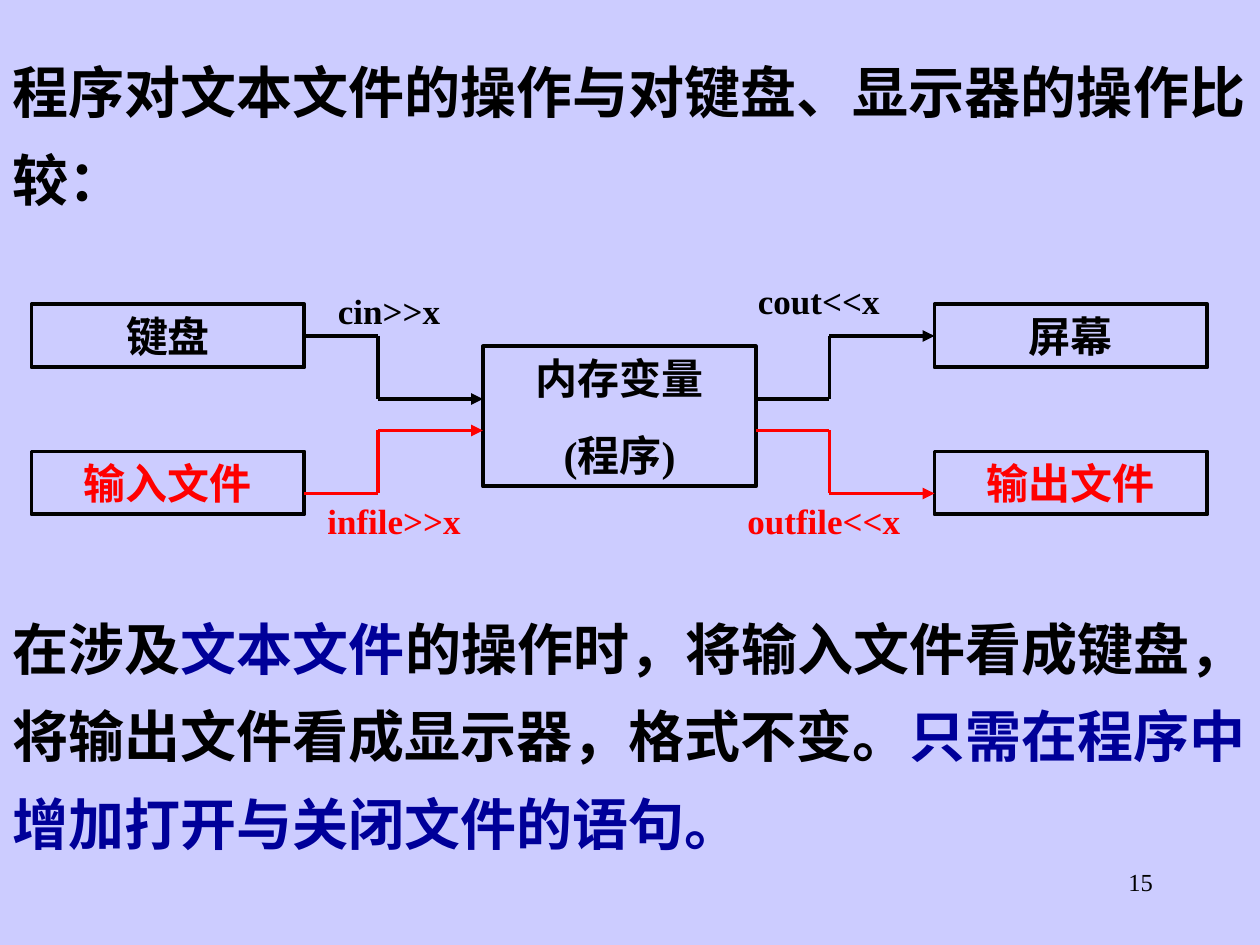
import pptx
import pptx.dml.color
import pptx.enum.shapes
import pptx.enum.text
import pptx.oxml.ns
import pptx.util
from lxml import etree

Pt = pptx.util.Pt
ALIGN = pptx.enum.text.PP_ALIGN
FONT = "Times New Roman"
COLORS = {"page": "CCCCFF", "black": "000000", "red": "FF0000", "blue": "000099"}


def rgb(name):
    return pptx.dml.color.RGBColor.from_string(COLORS[name])


def write(box, lines, size, color="black", bold=True, align=ALIGN.LEFT, gap=0, spacing=1.0):
    """Fill a box with lines, each a list of (text, color) spans or a plain string."""
    frame = box.text_frame
    frame.word_wrap = True
    frame.auto_size = pptx.enum.text.MSO_AUTO_SIZE.NONE
    frame.vertical_anchor = pptx.enum.text.MSO_ANCHOR.TOP
    for index, line in enumerate(lines):
        para = frame.add_paragraph() if index else frame.paragraphs[0]
        para.alignment = align
        para.line_spacing = spacing
        para.space_before = Pt(gap if index else 0)
        para.font.name = FONT
        para.font.size = Pt(size)
        para.font.bold = bold
        para.font.color.rgb = rgb(color)
        for text, span_color in [(line, color)] if isinstance(line, str) else line:
            span = para.add_run()
            span.text = text
            if span_color != color:
                span.font.color.rgb = rgb(span_color)


deck = pptx.Presentation()
deck.slide_width, deck.slide_height = Pt(720), Pt(540)
page = deck.slides.add_slide(deck.slide_layouts[1])
page.background.fill.solid()
page.background.fill.fore_color.rgb = rgb("page")

# Heading and conclusion
heading = page.shapes.title
heading.left, heading.top, heading.width, heading.height = Pt(0), Pt(18), Pt(720), Pt(107)
write(heading, ["程序对文本文件的操作与对键盘、显示器的操作比较："], 32, spacing=1.3)

conclusion = page.placeholders[1]
conclusion.left, conclusion.top, conclusion.width, conclusion.height = Pt(0), Pt(336), Pt(720), Pt(157)
properties = conclusion.text_frame.paragraphs[0]._p.get_or_add_pPr()
properties.set("marL", "0")
properties.set("indent", "0")
etree.SubElement(properties, pptx.oxml.ns.qn("a:buNone"))
write(conclusion, [[
    ("在涉及", "black"),
    ("文本文件", "blue"),
    ("的操作时，将输入文件看成键盘，将输出文件看成显示器，格式不变。", "black"),
    ("只需在程序中增加打开与关闭文件的语句。", "blue"),
]], 32, spacing=1.3)

# Boxes: devices above, files below, memory in the middle
BOX_WIDTH, BOX_HEIGHT = 156, 36
LEFT, MIDDLE, RIGHT = 18, 276, 534
for lines, left, top, height, color in [
    (["内存变量", "(程序)"], MIDDLE, 198, 80, "black"),
    (["键盘"], LEFT, 174, BOX_HEIGHT, "black"),
    (["输入文件"], LEFT, 258, BOX_HEIGHT, "red"),
    (["屏幕"], RIGHT, 174, BOX_HEIGHT, "black"),
    (["输出文件"], RIGHT, 258, BOX_HEIGHT, "red"),
]:
    box = page.shapes.add_shape(pptx.enum.shapes.MSO_SHAPE.RECTANGLE,
                                Pt(left), Pt(top), Pt(BOX_WIDTH), Pt(height))
    box.shadow.inherit = False
    box.fill.background()
    box.line.color.rgb = rgb("black")
    box.line.width = Pt(2.25)
    write(box, lines, 24, color, align=ALIGN.CENTER, gap=15)

# Stepped arrows: out of one box, up or down, into the next
STEP = 42
for start, end, from_y, to_y, color in [
    (LEFT + BOX_WIDTH, MIDDLE, 192, 228, "black"),
    (LEFT + BOX_WIDTH, MIDDLE, 282, 246, "red"),
    (MIDDLE + BOX_WIDTH, RIGHT, 228, 192, "black"),
    (MIDDLE + BOX_WIDTH, RIGHT, 246, 282, "red"),
]:
    turn = start + STEP
    corners = [(start, from_y), (turn, from_y), (turn, to_y), (end, to_y)]
    for (x1, y1), (x2, y2) in zip(corners, corners[1:]):
        line = page.shapes.add_connector(pptx.enum.shapes.MSO_CONNECTOR.STRAIGHT,
                                         Pt(x1), Pt(y1), Pt(x2), Pt(y2))
        line.line.color.rgb = rgb(color)
        line.line.width = Pt(2.25)
        etree.SubElement(line._element.spPr, pptx.oxml.ns.qn("a:effectLst"))
    etree.SubElement(line.line._get_or_add_ln(), pptx.oxml.ns.qn("a:tailEnd"), type="triangle")

# Statements beside the arrows, then the page number
for text, left, top, width, color in [
    ("cin>>x", 186, 162, 84, "black"),
    ("cout<<x", 426, 156, 84, "black"),
    ("infile>>x", 180, 282, 96, "red"),
    ("outfile<<x", 420, 282, 108, "red"),
]:
    label = page.shapes.add_textbox(Pt(left), Pt(top), Pt(width), Pt(32))
    write(label, [text], 20, color)

number = page.shapes.add_textbox(Pt(516), Pt(492), Pt(150), Pt(36))
write(number, ["15"], 14, bold=False, align=ALIGN.RIGHT)

deck.save("out.pptx")
